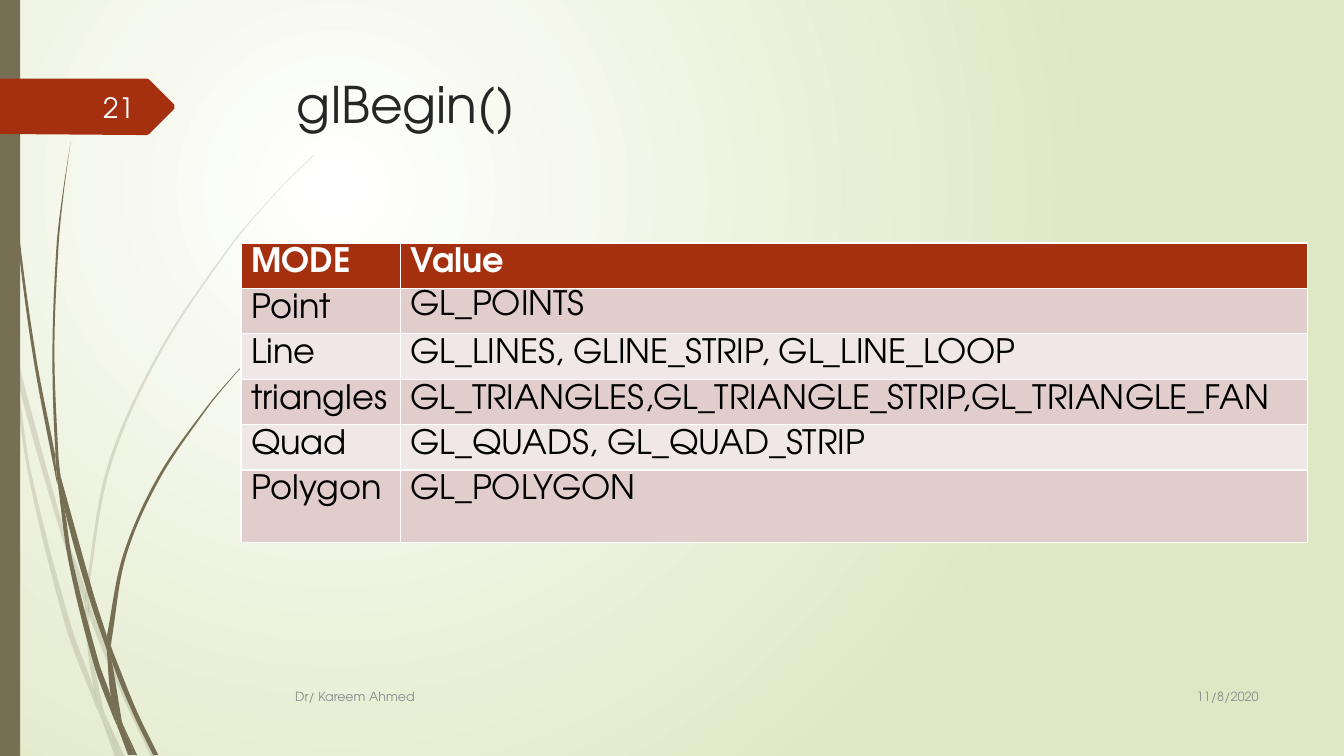
from math import hypot

from lxml.etree import SubElement
from pptx import Presentation
from pptx.dml.color import RGBColor
from pptx.enum.shapes import MSO_SHAPE
from pptx.enum.text import MSO_ANCHOR as ANCHOR, PP_ALIGN as ALIGN
from pptx.oxml import parse_xml
from pptx.oxml.ns import nsdecls, qn
from pptx.util import Inches, Pt

FONT = "TeX Gyre Adventor"
OLIVE = RGBColor(0x76, 0x6F, 0x54)
RUST = RGBColor(0xA5, 0x30, 0x10)
WHITE = RGBColor(0xFF, 0xFF, 0xFF)
NUMBER = RGBColor(0xFE, 0xFF, 0xFF)
BLACK = RGBColor(0, 0, 0)
TITLE = RGBColor(0x26, 0x26, 0x26)
GREY = RGBColor(0x8C, 0x8C, 0x8C)
PINK = RGBColor(0xE1, 0xCD, 0xCC)
PALE = RGBColor(0xF0, 0xE8, 0xE7)

LIGHT_BLADES = [
    [(0.11, 3.5), (0.09, 3.22), (0, 2.82), (0, 2.99), (0.1, 3.44)],
    [(0.58, 5.22), (0.84, 5.99), (0.85, 5.86), (0.62, 5.2), (0.14, 3.45), (0.17, 3.76)],
    [(0.92, 6.07), (0.88, 5.96), (0.88, 6.1), (1.23, 6.94), (1.5, 7.51), (1.55, 7.51),
     (1.27, 6.92)],
    [(1.19, 7.51), (1.24, 7.51), (1.05, 7.11)],
    [(0.93, 6.83), (0.7, 6.19), (0.31, 4.69), (0.17, 3.76), (0.11, 3.5), (0.28, 4.7),
     (0.65, 6.21), (0.92, 6.93), (1.01, 7.14), (0.99, 7.07)],
    [(0.84, 5.99), (0.87, 6.46), (0.93, 6.83), (0.96, 6.92), (1.05, 7.11), (1.03, 7.06),
     (0.91, 6.46), (0.88, 6.1), (0.88, 6.08)],
    [(0.88, 5.84), (1.1, 4.62), (1.6, 3.49), (2.29, 2.45), (2.68, 1.98), (2.9, 1.75),
     (3.12, 1.54), (3.12, 1.53), (2.89, 1.75), (2.68, 1.97), (2.28, 2.44), (1.58, 3.48),
     (1.07, 4.61), (0.85, 5.84), (0.85, 5.86), (0.88, 5.96)],
    [(1.01, 7.14), (1.14, 7.51), (1.19, 7.51)],
    [(0.88, 6.08), (0.88, 6.1), (0.88, 5.96), (0.85, 5.86), (0.84, 5.99)],
    [(0.96, 6.92), (0.93, 6.83), (0.99, 7.07), (1.01, 7.14), (1.19, 7.51), (1.05, 7.11)],
]
DARK_BLADES = [
    [(0.07, 1.1), (0.17, 2.33), (0.33, 3.55), (0.56, 4.77), (0.57, 4.81), (0.55, 4.57),
     (0.55, 4.53), (0.36, 3.55), (0.19, 2.32), (0.08, 1.09), (0.05, 0.48), (0.04, 0),
     (0.03, 0), (0.04, 0.48)],
    [(0.88, 5.92), (1.06, 6.45), (1.06, 6.33), (1.06, 6.31), (0.93, 5.9), (0.6, 4.72),
     (0.64, 5.05)],
    [(1.13, 6.49), (1.1, 6.41), (1.11, 6.56), (1.32, 7.08), (1.52, 7.49), (1.57, 7.49),
     (1.36, 7.06)],
    [(1.1, 6.91), (0.98, 6.57), (0.72, 5.56), (0.64, 5.05), (0.57, 4.77), (0.68, 5.57),
     (0.93, 6.59), (1.11, 7.08), (1.17, 7.22), (1.16, 7.17)],
    [(0.6, 4.72), (0.58, 4.53), (0.54, 3.49), (0.58, 2.45), (0.63, 1.93), (0.7, 1.41),
     (0.62, 1.93), (0.56, 2.45), (0.52, 3.49), (0.55, 4.49)],
    [(1.33, 7.49), (1.36, 7.49), (1.22, 7.19)],
    [(0.57, 4.77), (0.64, 5.05), (0.6, 4.72), (0.55, 4.49), (0.55, 4.53)],
    [(1.11, 6.33), (1.25, 5.52), (1.58, 4.76), (2.05, 4.06), (2.31, 3.74), (2.45, 3.59),
     (2.61, 3.44), (2.6, 3.44), (2.45, 3.58), (2.31, 3.73), (2.04, 4.05), (1.56, 4.74),
     (1.22, 5.51), (1.06, 6.31), (1.1, 6.41)],
    [(1.17, 7.22), (1.27, 7.49), (1.31, 7.49)],
    [(1.06, 6.45), (1.1, 6.91), (1.16, 7.06), (1.22, 7.19), (1.21, 7.16), (1.11, 6.56),
     (1.09, 6.51)],
    [(1.06, 6.45), (1.09, 6.51), (1.11, 6.56), (1.1, 6.41), (1.06, 6.31), (1.06, 6.33)],
    [(1.16, 7.06), (1.1, 6.91), (1.16, 7.17), (1.17, 7.22), (1.3, 7.49), (1.33, 7.49),
     (1.22, 7.19)],
]
TAG = [(1.73, 1.08), (1.48, 1.33), (1.46, 1.34), (1.36, 1.34), (0, 1.33), (0, 0.78),
       (1.36, 0.78), (1.46, 0.78), (1.48, 0.79), (1.73, 1.04)]
MODES = [
    ("MODE", "Value"),
    ("Point", "GL_POINTS"),
    ("Line", "GL_LINES, GLINE_STRIP, GL_LINE_LOOP"),
    ("triangles", "GL_TRIANGLES,GL_TRIANGLE_STRIP,GL_TRIANGLE_FAN"),
    ("Quad", "GL_QUADS, GL_QUAD_STRIP"),
    ("Polygon", "GL_POLYGON"),
]


def set_background(s):
    s.element.cSld.insert(0, parse_xml(
        f'<p:bg {nsdecls("p", "a")}><p:bgPr><a:gradFill rotWithShape="1"><a:gsLst>'
        '<a:gs pos="0"><a:srgbClr val="FFFFFF"/></a:gs>'
        '<a:gs pos="100000"><a:srgbClr val="DFE8C4"/></a:gs></a:gsLst>'
        '<a:path path="circle"><a:fillToRect l="50000" t="50000" r="100000" b="100000"/></a:path>'
        '</a:gradFill><a:effectLst/></p:bgPr></p:bg>'))


def paint(sp, color, alpha=None):
    sp.shadow.inherit = False
    sp.fill.solid()
    sp.fill.fore_color.rgb = color
    sp.line.fill.background()
    if alpha:
        clr = sp.fill._xPr.find(qn("a:solidFill"))[0]
        SubElement(clr, qn("a:alpha")).set("val", str(alpha * 1000))


def add_outline(shapes, points, color, alpha=None):
    (x, y), *rest = [(Inches(x), Inches(y)) for x, y in points]
    builder = shapes.build_freeform(x, y)
    builder.add_line_segments(rest + [(x, y)], close=True)
    sp = builder.convert_to_shape()
    paint(sp, color, alpha)
    return sp


def unit(a, b):
    dx, dy = b[0] - a[0], b[1] - a[1]
    length = hypot(dx, dy) or 1
    return dx / length, dy / length


def tangent(before, at, after, chord):
    (ax, ay), (bx, by) = unit(before, at), unit(at, after)
    return unit(before, after) if ax * bx + ay * by > 0.85 else chord


def bend(sp, points):
    n = len(points)
    left, top = min(x for x, y in points), min(y for x, y in points)
    for i, line in enumerate(list(sp._element.iter(qn("a:lnTo")))):
        before, a, b, after = (points[(i + k) % n] for k in (-1, 0, 1, 2))
        chord = unit(a, b)
        reach = hypot(b[0] - a[0], b[1] - a[1]) / 3
        out, into = tangent(before, a, b, chord), tangent(a, b, after, chord)
        controls = [(a[0] + out[0] * reach, a[1] + out[1] * reach),
                    (b[0] - into[0] * reach, b[1] - into[1] * reach), b]
        pts = "".join(f'<a:pt x="{Inches(x - left)}" y="{Inches(y - top)}"/>' for x, y in controls)
        line.getparent().replace(line, parse_xml(
            f'<a:cubicBezTo {nsdecls("a")}>{pts}</a:cubicBezTo>'))


def add_blades(s, blades, alpha=None):
    group = s.shapes.add_group_shape()
    for points in blades:
        bend(add_outline(group.shapes, points, OLIVE, alpha), points)


def write(tf, text, size, color, bold=False, align=ALIGN.LEFT):
    p = tf.paragraphs[0]
    p.alignment = align
    r = p.add_run()
    r.text = text
    r.font.name = FONT
    r.font.size = Pt(size)
    r.font.bold = bold
    r.font.color.rgb = color
    return p


def add_label(s, box, text, size, color, align=ALIGN.LEFT):
    tf = s.shapes.add_textbox(*map(Inches, box)).text_frame
    tf.word_wrap = True
    tf.vertical_anchor = ANCHOR.MIDDLE
    write(tf, text, size, color, align=align)


def set_title(s, text):
    sp = s.shapes.title
    sp.left, sp.top, sp.width, sp.height = map(Inches, (2.84, 0.68, 9.75, 1.4))
    sp.text_frame.vertical_anchor = ANCHOR.TOP
    write(sp.text_frame, text, 36, TITLE)


def add_mode_table(s):
    frame = s.shapes.add_table(len(MODES), 2, *map(Inches, (2.39, 2.41, 10.58, 2.77)))
    table = frame.table
    for column, width in zip(table.columns, (1.58, 9)):
        column.width = Inches(width)
    for i, values in enumerate(MODES):
        header = i == 0
        table.rows[i].height = Inches(0.72 if i == len(MODES) - 1 else 0.41)
        for cell, value in zip(table.rows[i].cells, values):
            cell.margin_top, cell.margin_bottom = Inches(0.05), 0
            cell.fill.solid()
            cell.fill.fore_color.rgb = RUST if header else PINK if i % 2 else PALE
            p = write(cell.text_frame, value, 24, WHITE if header else BLACK, header)
            if value == "GL_POINTS":
                p.line_spacing = 0.9


def main():
    prs = Presentation()
    prs.slide_width, prs.slide_height = Inches(13.33), Inches(7.5)
    s = prs.slides.add_slide(prs.slide_layouts[5])
    set_background(s)
    add_blades(s, LIGHT_BLADES, alpha=20)
    add_blades(s, DARK_BLADES)
    bar = s.shapes.add_shape(MSO_SHAPE.RECTANGLE, 0, 0, Inches(0.2), prs.slide_height)
    paint(bar, OLIVE)
    add_outline(s.shapes, TAG, RUST)
    set_title(s, "glBegin()")
    add_label(s, (11.33, 6.7, 1.25, 0.41), "11/8/2020", 9, GREY, ALIGN.RIGHT)
    add_label(s, (2.83, 6.71, 8.33, 0.4), "Dr/ Kareem Ahmed", 9, GREY)
    add_label(s, (0.58, 0.86, 0.85, 0.4), "21", 20, NUMBER, ALIGN.RIGHT)
    add_mode_table(s)
    prs.save("out.pptx")


if __name__ == "__main__":
    main()
